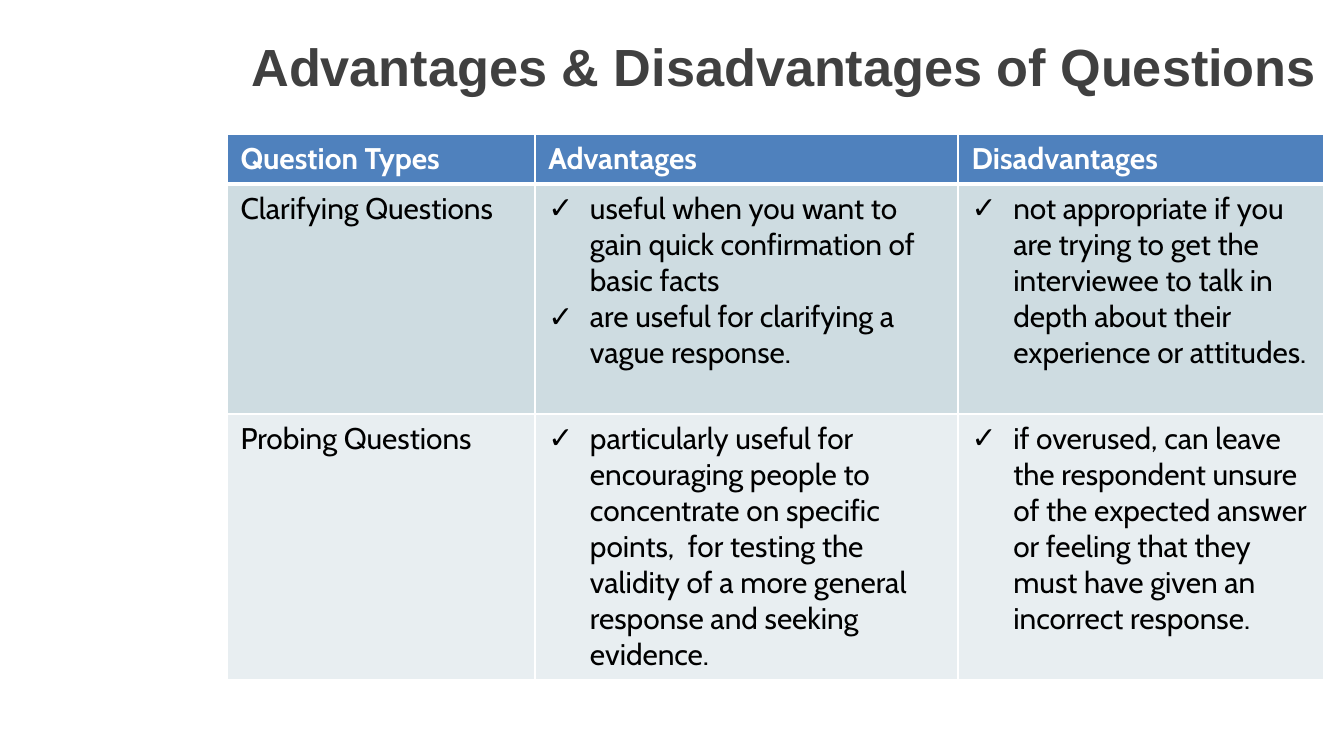
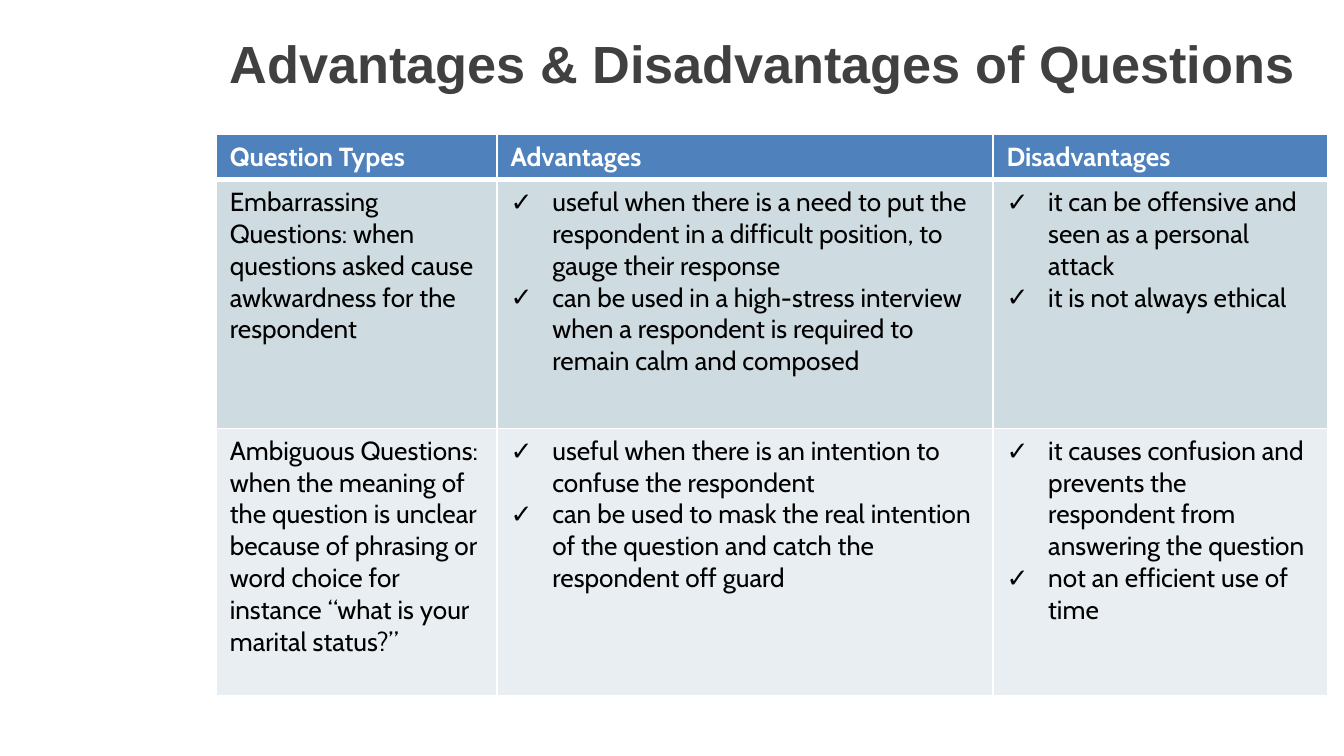
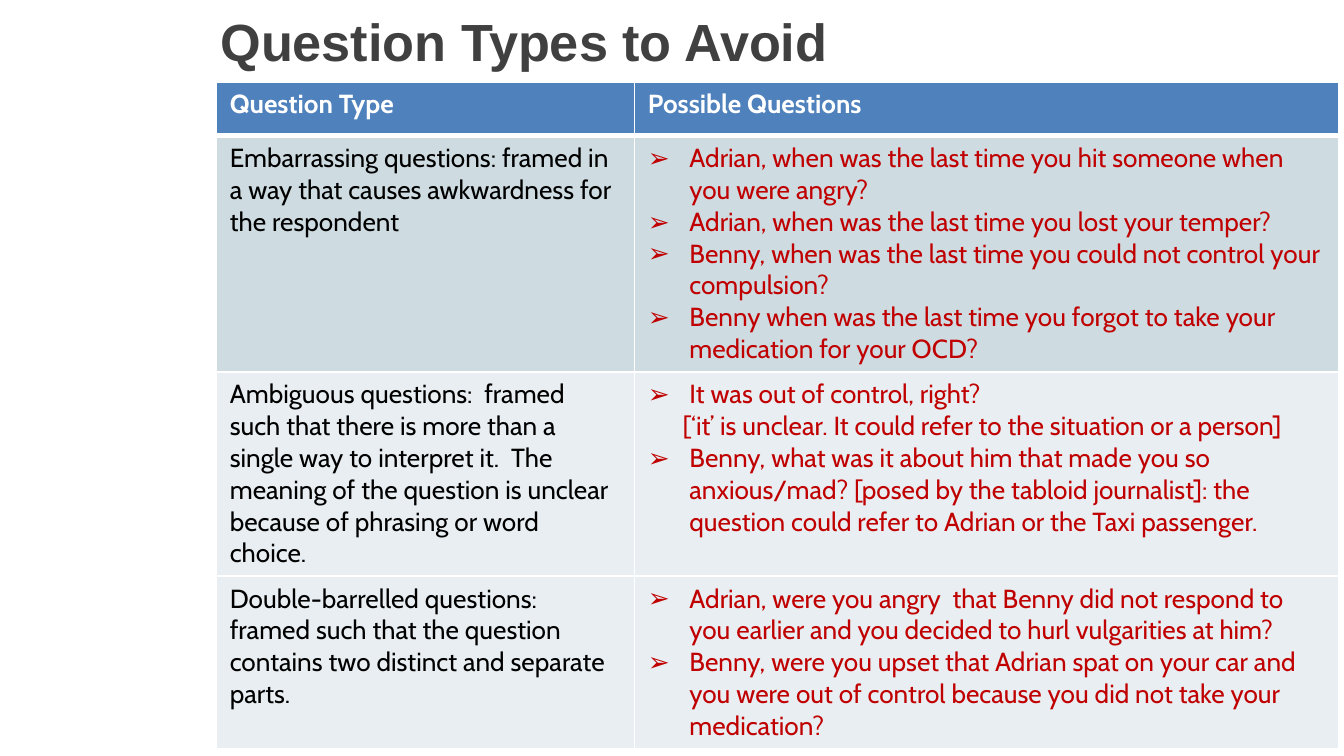
from lxml import etree
from pptx import Presentation
from pptx import util as u
from pptx.dml.color import RGBColor
from pptx.enum import text
from pptx.oxml import ns

WIDTH = u.Inches(10)
HEIGHT = WIDTH * 9 // 16
UNIT = WIDTH // 100

WHITE = RGBColor(0xFF, 0xFF, 0xFF)
BLACK = RGBColor(0x00, 0x00, 0x00)
GREY = RGBColor(0x40, 0x40, 0x40)
RED = RGBColor(0xC0, 0x00, 0x00)
BLUE = RGBColor(0x4F, 0x81, 0xBD)
BAND_DARK = RGBColor(0xCE, 0xDC, 0xE1)
BAND_LIGHT = RGBColor(0xE8, 0xEE, 0xF1)

TITLE_FONT, TABLE_FONT = "Arial", "Cabin"
TITLE_SIZE = (82.3, 9.7)
HANGING = 3.1
NOTE_INDENT = 2.6
CHECK, ARROW = "✓", "➢"

PROS_CONS_HEAD = ["Question Types", "Advantages", "Disadvantages"]


def units(*values):
    return [round(v * UNIT) for v in values]


def style(p, name, size, color, bold=False):
    p.font.name = name
    p.font.size = u.Pt(size)
    p.font.bold = bold
    p.font.color.rgb = color


def sub(parent, tag, **attrs):
    return etree.SubElement(parent, ns.qn(tag), attrs)


def add_bullet(p, mark):
    pPr = p._p.get_or_add_pPr()
    left, = units(HANGING)
    pPr.set("marL", str(left))
    pPr.set("indent", str(-left))
    sub(pPr, "a:buFont", typeface="Arial")
    sub(pPr, "a:buChar", char=mark)


def add_indent(p):
    pPr = p._p.get_or_add_pPr()
    pPr.set("marL", str(units(NOTE_INDENT)[0]))
    pPr.set("indent", "0")


def set_borders(cell, row):
    tcPr = cell._tc.get_or_add_tcPr()
    widths = {"L": 1, "R": 1, "T": 3 if row == 1 else 1, "B": 3 if row == 0 else 1}
    for side, width in widths.items():
        ln = sub(tcPr, f"a:ln{side}", w=str(u.Pt(width)))
        sub(sub(ln, "a:solidFill"), "a:srgbClr", val=str(WHITE))


def fill_cell(cell, content, row, size, color, mark):
    set_borders(cell, row)
    cell.fill.solid()
    cell.fill.fore_color.rgb = (BLUE, BAND_DARK, BAND_LIGHT)[min(row, 2)]
    lines = [content] if isinstance(content, str) else content
    tf = cell.text_frame
    for i, line in enumerate(lines):
        p = tf.paragraphs[0] if i == 0 else tf.add_paragraph()
        p.text = line
        if line.startswith("["):
            add_indent(p)
        elif lines is content:
            add_bullet(p, mark)
        style(p, TABLE_FONT, size, color, bold=row == 0)


def add_table(s, left, top, cols, heights, rows, size, mark, list_color=BLACK):
    frame = s.shapes.add_table(len(rows), len(cols),
                               *units(left, top, sum(cols), sum(heights)))
    table = frame.table
    table.horz_banding = False
    for column, width in zip(table.columns, units(*cols)):
        column.width = width
    for row, height in zip(table.rows, units(*heights)):
        row.height = height
    for r, row in enumerate(rows):
        for c, content in enumerate(row):
            color = WHITE if r == 0 else list_color if c else BLACK
            fill_cell(table.cell(r, c), content, r, size, color, mark)


def add_slide(prs, title, left, top):
    s = prs.slides.add_slide(prs.slide_layouts[5])
    sp = s.shapes.title
    sp.left, sp.top, sp.width, sp.height = units(left, top, *TITLE_SIZE)
    tf = sp.text_frame
    tf.text = title
    tf.auto_size = text.MSO_AUTO_SIZE.NONE
    tf.vertical_anchor = text.MSO_ANCHOR.MIDDLE
    p = tf.paragraphs[0]
    p.alignment = text.PP_ALIGN.LEFT
    style(p, TITLE_FONT, 28, GREY, bold=True)
    return s


def clarifying_and_probing(prs):
    s = add_slide(prs, "Advantages & Disadvantages of Questions", 17.7, 0)
    rows = [
        PROS_CONS_HEAD,
        ["Clarifying Questions",
         ["useful when you want to gain quick confirmation of basic facts",
          "are useful for clarifying a vague response."],
         ["not appropriate if you are trying to get the interviewee to talk in "
          "depth about their experience or attitudes."]],
        ["Probing Questions",
         ["particularly useful for encouraging people to concentrate on specific "
          "points,  for testing the validity of a more general response and "
          "seeking evidence."],
         ["if overused, can leave the respondent unsure of the expected answer "
          "or feeling that they must have given an incorrect response."]],
    ]
    add_table(s, 16.9, 10, [22.9, 31.5, 27.2], [3.5, 17.1, 18.9], rows, 16, CHECK)


def embarrassing_and_ambiguous(prs):
    s = add_slide(prs, "Advantages & Disadvantages of Questions", 16.1, -0.2)
    rows = [
        PROS_CONS_HEAD,
        ["Embarrassing Questions: when questions asked cause awkwardness for "
         "the respondent",
         ["useful when there is a need to put the respondent in a difficult "
          "position, to gauge their response",
          "can be used in a high-stress interview when a respondent is required "
          "to remain calm and composed"],
         ["it can be offensive and seen as a personal attack",
          "it is not always ethical"]],
        ["Ambiguous Questions: when the meaning of the question is unclear "
         "because of phrasing or word choice for instance “what is your marital "
         "status?”",
         ["useful when there is an intention to confuse the respondent",
          "can be used to mask the real intention of the question and catch the "
          "respondent off guard"],
         ["it causes confusion and prevents the respondent from answering the "
          "question",
          "not an efficient use of time"]],
    ]
    add_table(s, 16.1, 10, [20.9, 36.9, 24.9], [3.3, 18.5, 19.9], rows, 14, CHECK)


def types_to_avoid(prs):
    s = add_slide(prs, "Question Types to Avoid", 15.4, -1.8)
    rows = [
        ["Question Type", "Possible Questions"],
        ["Embarrassing questions: framed in a way that causes awkwardness for "
         "the respondent",
         ["Adrian, when was the last time you hit someone when you were angry?",
          "Adrian, when was the last time you lost your temper?",
          "Benny, when was the last time you could not control your compulsion?",
          "Benny when was the last time you forgot to take your medication for "
          "your OCD?"]],
        ["Ambiguous questions:  framed such that there is more than a single way "
         "to interpret it.  The meaning of the question is unclear because of "
         "phrasing or word choice.",
         ["It was out of control, right?",
          "[‘it’ is unclear. It could refer to the situation or a person]",
          "Benny, what was it about him that made you so anxious/mad? [posed by "
          "the tabloid journalist]: the question could refer to Adrian or the "
          "Taxi passenger."]],
        ["Double-barrelled questions:  framed such that the question contains "
         "two distinct and separate parts.",
         ["Adrian, were you angry  that Benny did not respond to you earlier and "
          "you decided to hurl vulgarities at him?",
          "Benny, were you upset that Adrian spat on your car and you were out "
          "of control because you did not take your medication?"]],
    ]
    add_table(s, 16.1, 6.1, [31.1, 52.4], [4, 16.9, 14.1, 8.9], rows, 14, ARROW, RED)


def main():
    prs = Presentation()
    prs.slide_width, prs.slide_height = WIDTH, HEIGHT
    clarifying_and_probing(prs)
    embarrassing_and_ambiguous(prs)
    types_to_avoid(prs)
    prs.save("out.pptx")


if __name__ == "__main__":
    main()
